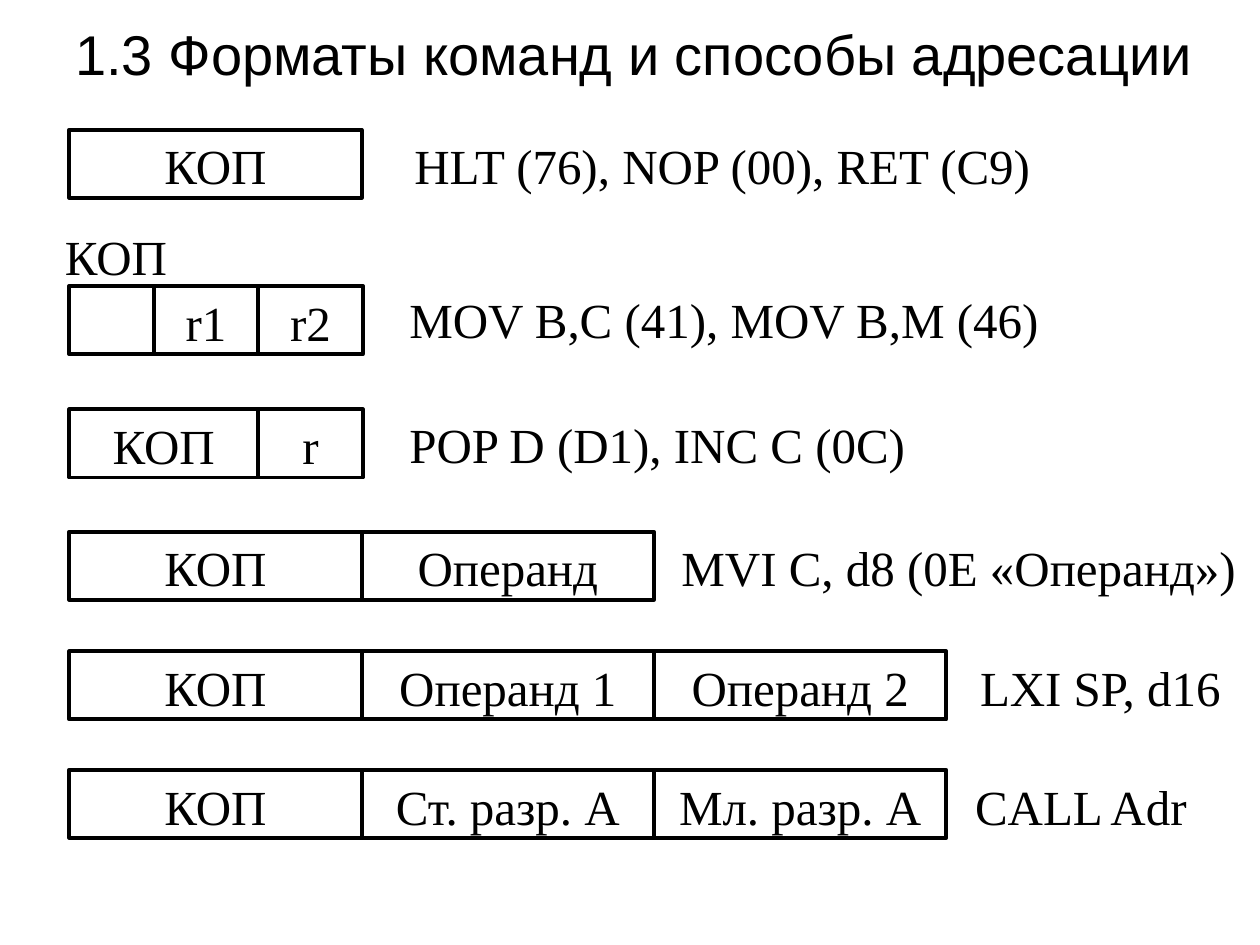
import pptx
import pptx.util
import pptx.dml.color
import pptx.enum.shapes
import pptx.enum.text

Inches = pptx.util.Inches
Pt = pptx.util.Pt
ALIGN = pptx.enum.text.PP_ALIGN
ANCHOR = pptx.enum.text.MSO_ANCHOR

BLACK = pptx.dml.color.RGBColor(0x00, 0x00, 0x00)
BODY = {"name": "Times New Roman", "size": Pt(28)}
TITLE = {"name": "Arial", "size": Pt(32)}

# Instruction word geometry
LEFT, HEIGHT = 0.55, 0.54
BYTE, REGISTER = 2.32, 0.83
TWO_REG_CODE, ONE_REG_CODE = 0.67, 1.5

# Each format: top, fields (text, width), example (text, left, top, width)
FORMATS = [
    (1.03, [("КОП", BYTE)],
     ("HLT (76), NOP (00), RET (C9)", 3.19, 1.03, 6.06)),
    (2.27, [("", TWO_REG_CODE), ("r1", REGISTER), ("r2", REGISTER)],
     ("MOV B,C (41), MOV B,M (46)", 3.15, 2.25, 5.95)),
    (3.25, [("КОП", ONE_REG_CODE), ("r", REGISTER)],
     ("POP D (D1), INC C (0C)", 3.15, 3.24, 6.38)),
    (4.22, [("КОП", BYTE), ("Операнд", BYTE)],
     ("MVI C, d8 (0E «Операнд»)", 5.31, 4.22, 4.69)),
    (5.17, [("КОП", BYTE), ("Операнд 1", BYTE), ("Операнд 2", BYTE)],
     ("LXI SP, d16", 7.68, 5.17, 2.17)),
    (6.11, [("КОП", BYTE), ("Ст. разр. А", BYTE), ("Мл. разр. А", BYTE)],
     ("CALL Adr", 7.64, 6.11, 2.01)),
]


def write_text(shape, text, style, align, anchor=ANCHOR.TOP):
    tf = shape.text_frame
    tf.word_wrap = True
    tf.vertical_anchor = anchor
    p = tf.paragraphs[0]
    p.alignment = align
    r = p.add_run()
    r.text = text
    for key, value in style.items():
        setattr(r.font, key, value)
    r.font.color.rgb = BLACK


def add_label(s, text, left, top, width, height=HEIGHT, style=BODY,
              align=ALIGN.LEFT, anchor=ANCHOR.TOP):
    box = s.shapes.add_textbox(Inches(left), Inches(top),
                               Inches(width), Inches(height))
    write_text(box, text, style, align, anchor)


def add_field(s, text, left, top, width):
    sp = s.shapes.add_shape(pptx.enum.shapes.MSO_SHAPE.RECTANGLE,
                            Inches(left), Inches(top),
                            Inches(width), Inches(HEIGHT))
    sp.shadow.inherit = False
    sp.fill.background()
    sp.line.color.rgb = BLACK
    sp.line.width = Pt(2.25)
    if text:
        write_text(sp, text, BODY, ALIGN.CENTER)


def add_format(s, top, fields, example):
    left = LEFT
    for text, width in fields:
        add_field(s, text, left, top, width)
        left += width
    add_label(s, *example)


def main():
    prs = pptx.Presentation()
    prs.slide_width, prs.slide_height = Inches(10), Inches(7.5)
    s = prs.slides.add_slide(prs.slide_layouts[6])

    # Title
    add_label(s, "1.3 Форматы команд и способы адресации", 0.31, 0.13, 9.45,
              0.59, TITLE, ALIGN.CENTER, ANCHOR.MIDDLE)

    # Instruction formats with examples
    for top, fields, example in FORMATS:
        add_format(s, top, fields, example)

    # Caption above the narrow opcode field
    add_label(s, "КОП", 0.39, 1.75, 1.06, align=ALIGN.CENTER)

    prs.save("out.pptx")


if __name__ == "__main__":
    main()
